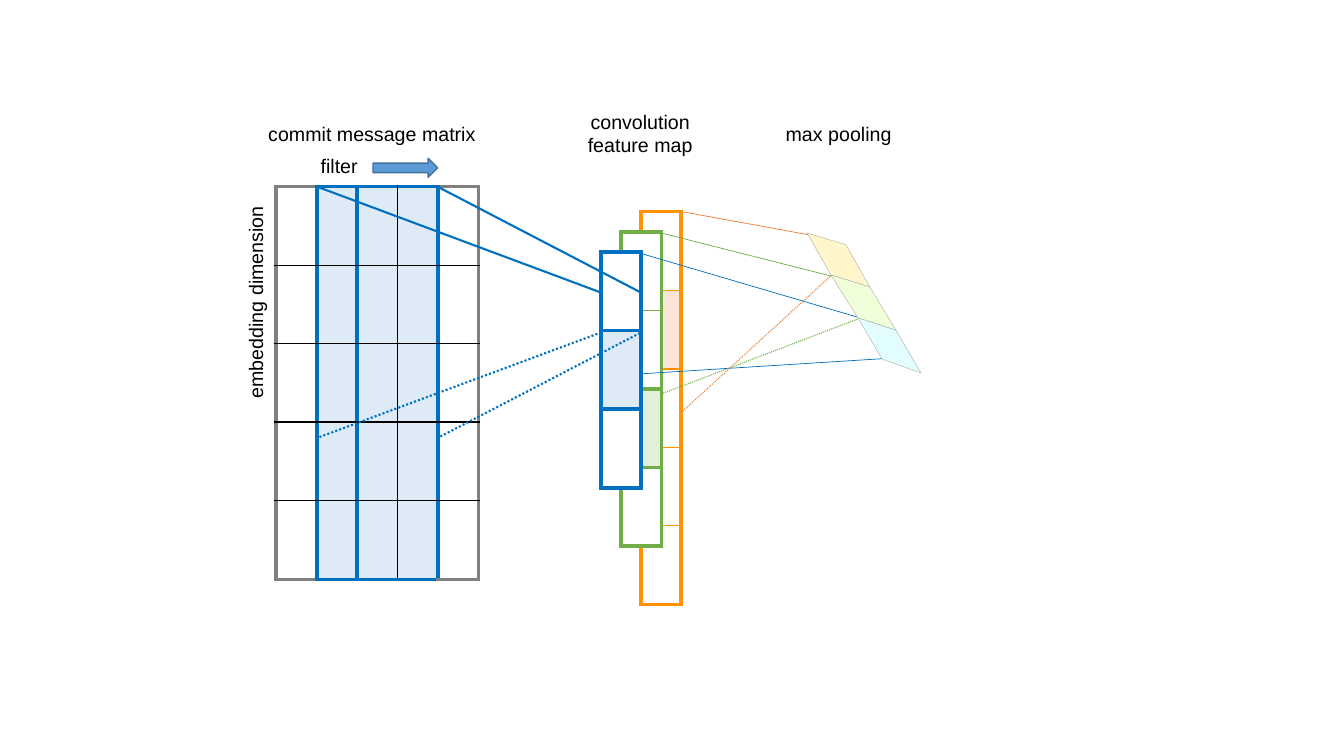
from lxml import etree
from pptx import Presentation
from pptx import util as u
from pptx.dml.color import RGBColor
from pptx.enum import dml, shapes, text
from pptx.oxml.ns import qn

# Content: lengths in cm, line widths and text sizes in points
BLUE, GREEN, ORANGE, RUST = "0070C0", "70AD47", "FF9300", "ED7D31"
GREY, BLACK, WHITE, PALE_BLUE = "808080", "000000", "FFFFFF", "DEEBF7"
COLUMN, ROW = 1.02, 1.98

matrix = {
    "corner": (6.96, 4.7),
    "fills": [[None, PALE_BLUE, PALE_BLUE, PALE_BLUE, None]] * 5,
    "uprights": [(GREY, 3), (BLUE, 3), (BLUE, 3), (BLACK, 1), (BLUE, 3), (GREY, 3)],
    "edge": [(GREY, 3), (BLUE, 3), (BLUE, 3), (BLUE, 3), (GREY, 3)],
    "inner": [(BLACK, 1), (BLACK, 1), (BLACK, 1.5), (BLACK, 1)],
}

# corner, colour, cell fills, widths of the inner rules
feature_maps = [
    ((16.15, 5.33), ORANGE, [None, "FBE5D6", None, WHITE, None], [1, 1.5, 1, 1]),
    ((15.65, 5.84), GREEN, [WHITE, WHITE, "E2F0D9", WHITE], [1, 3, 3]),
    ((15.14, 6.35), BLUE, [WHITE, PALE_BLUE, WHITE], [3, 3]),
]

# from, to, colour, width, dotted
rays_behind = [
    ((7.98, 4.7), (15.14, 7.37), BLUE, 1.5, False),
    ((7.95, 11.05), (15.14, 8.38), BLUE, 1.5, True),
]
rays_in_front = [
    ((11.02, 4.7), (16.15, 7.37), BLUE, 1.5, False),
    ((11, 11.05), (16.15, 8.38), BLUE, 1.5, True),
    ((16.13, 6.38), (21.64, 8), BLUE, 0.5, False),
    ((16.15, 9.42), (22.23, 9.04), BLUE, 0.5, False),
    ((16.66, 5.87), (20.96, 6.96), GREEN, 0.5, False),
    ((16.71, 9.91), (21.77, 7.98), GREEN, 0.75, True),
    ((17.17, 10.39), (20.96, 6.93), RUST, 0.75, True),
    ((17.17, 5.33), (20.4, 5.92), RUST, 0.5, False),
]

# Left and right points of each level, and the fills between levels
pool_levels = [
    ((20.34, 5.87), (21.32, 6.17)),
    ((20.94, 6.93), (21.92, 7.23)),
    ((21.62, 8.01), (22.58, 8.32)),
    ((22.23, 9.05), (23.21, 9.4)),
]
pool_fills = ["FFF6CC", "F0FFD9", "E1FDFF"]

# words, box, rotation
labels = [
    ("embedding dimension", (2.84, 7.19, 7.21, 0.86), 270),
    ("convolution feature map", (13.94, 2.64, 4.39, 1.45), 0),
    ("max pooling", (18.57, 2.95, 5.13, 0.86), 0),
    ("commit message matrix", (5.92, 2.95, 6.91, 0.86), 0),
    ("filter", (7.47, 3.76, 2.16, 0.86), 0),
]
filter_arrow = (9.4, 3.99, 1.63, 0.48)

label_frame = {"word_wrap": True, "vertical_anchor": text.MSO_ANCHOR.TOP}
label_font = {"name": "Arial", "size": u.Pt(14)}
plain_table = {"first_row": False, "horz_banding": False}


def colour(value):
    return RGBColor.from_string(value)


def apply(target, values):
    for key, value in values.items():
        setattr(target, key, value)


def cm(values):
    return [u.Cm(value) for value in values]


def paint(fill, value):
    if value is None:
        fill.background()
    else:
        fill.solid()
        fill.fore_color.rgb = colour(value)


def draw_border(cell, side, rule):
    value, width = rule
    border = etree.SubElement(cell._tc.get_or_add_tcPr(), qn("a:ln" + side), w=str(u.Pt(width)))
    solid = etree.SubElement(border, qn("a:solidFill"))
    etree.SubElement(solid, qn("a:srgbClr"), val=value)


def draw_grid(slide, corner, fills, uprights, edge, inner):
    rows, columns = len(fills), len(fills[0])
    size = columns * COLUMN, rows * ROW
    grid = slide.shapes.add_table(rows, columns, *cm(corner + size)).table
    apply(grid, plain_table)
    for column in grid.columns:
        column.width = u.Cm(COLUMN)
    levels = [edge] + [[rule] * columns for rule in inner] + [edge]
    for r, row in enumerate(grid.rows):
        row.height = u.Cm(ROW)
        for c, cell in enumerate(row.cells):
            sides = {"L": uprights[c], "R": uprights[c + 1],
                     "T": levels[r][c], "B": levels[r + 1][c]}
            for side, rule in sides.items():
                draw_border(cell, side, rule)
            paint(cell.fill, fills[r][c])


def draw_ray(slide, start, end, value, width, dotted):
    ray = slide.shapes.add_connector(shapes.MSO_CONNECTOR.STRAIGHT, *cm(start + end))
    ray.line.color.rgb = colour(value)
    ray.line.width = u.Pt(width)
    if dotted:
        ray.line.dash_style = dml.MSO_LINE.ROUND_DOT
    etree.SubElement(ray._element.spPr, qn("a:effectLst"))


def style_shape(shape, fill, line, width):
    shape.shadow.inherit = False
    paint(shape.fill, fill)
    shape.line.color.rgb = colour(line)
    shape.line.width = u.Pt(width)


def draw_label(slide, words, box, rotation):
    label = slide.shapes.add_textbox(*cm(box))
    label.rotation = rotation
    apply(label.text_frame, label_frame)
    paragraph = label.text_frame.paragraphs[0]
    paragraph.alignment = text.PP_ALIGN.CENTER
    run = paragraph.add_run()
    run.text = words
    apply(run.font, label_font)
    run.font.color.rgb = colour(BLACK)


def main():
    deck = Presentation()
    deck.slide_width, deck.slide_height = cm((33.87, 19.05))
    slide = deck.slides.add_slide(deck.slide_layouts[6])

    # Message matrix and feature maps
    draw_grid(slide, **matrix)
    for ray in rays_behind:
        draw_ray(slide, *ray)
    for corner, value, fills, widths in feature_maps:
        outline = (value, 3)
        draw_grid(slide, corner, [[fill] for fill in fills], [outline] * 2,
                  [outline], [(value, width) for width in widths])
    for ray in rays_in_front:
        draw_ray(slide, *ray)

    # Max pooling
    for upper, lower, fill in zip(pool_levels, pool_levels[1:], pool_fills):
        corners = [cm(point) for point in (*upper, *reversed(lower))]
        builder = slide.shapes.build_freeform(*corners[0])
        builder.add_line_segments(corners[1:], close=True)
        style_shape(builder.convert_to_shape(), fill, "A6A6A6", 0.25)

    # Labels and filter direction
    for label in labels:
        draw_label(slide, *label)
    arrow = slide.shapes.add_shape(shapes.MSO_SHAPE.RIGHT_ARROW, *cm(filter_arrow))
    style_shape(arrow, "5B9BD5", "43739E", 1)

    deck.save("out.pptx")


if __name__ == "__main__":
    main()
